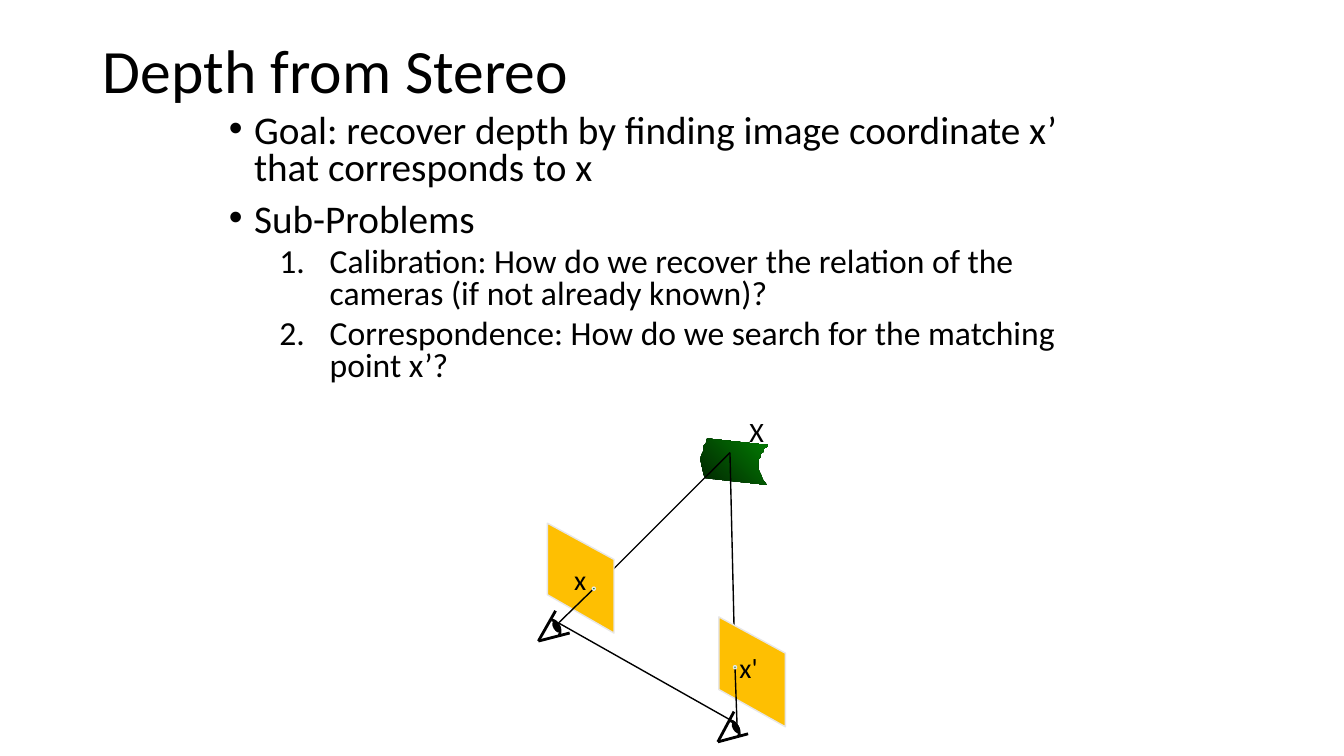
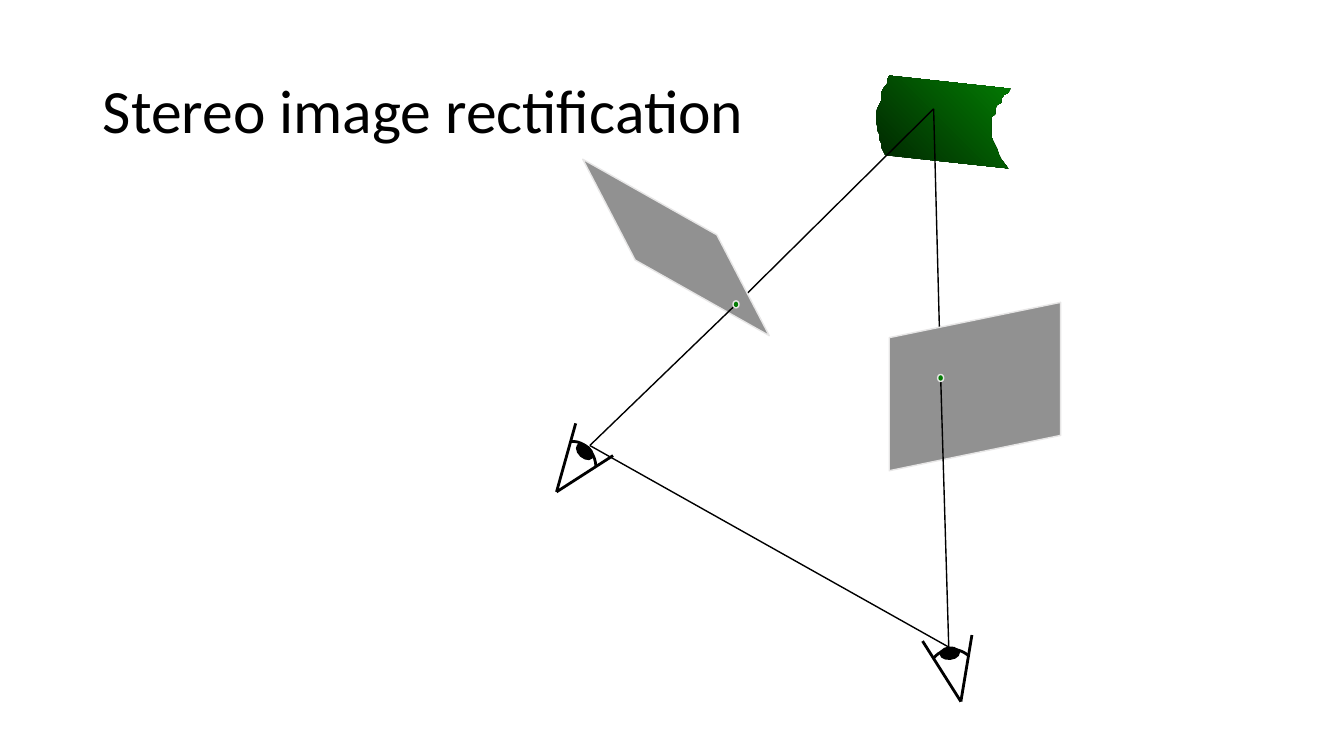
from lxml import etree
from pptx import Presentation
from pptx.dml.color import RGBColor
from pptx.enum.shapes import MSO_CONNECTOR, MSO_SHAPE
from pptx.enum.text import MSO_ANCHOR, MSO_AUTO_SIZE, PP_ALIGN
from pptx.oxml.ns import qn
from pptx.util import Inches, Pt

BLACK = RGBColor(0x00, 0x00, 0x00)
PALE_GREY = RGBColor(0xE7, 0xE6, 0xE6)
GREY = RGBColor(0x91, 0x91, 0x91)
AMBER = RGBColor(0xFE, 0xBF, 0x02)
GREEN = RGBColor(0x03, 0x7C, 0x03)
DARK_GREEN = RGBColor(0x01, 0x25, 0x01)
FONT = "Calibri"

# Curved surface patch, in inches from its own top left corner
SURFACE = [
    (0.13, 0), (0.11, 0.04), (0.11, 0.08), (0.07, 0.13), (0.05, 0.17), (0.05, 0.25),
    (0.03, 0.29), (0.01, 0.33), (0, 0.38), (0, 0.46), (0.01, 0.5), (0.01, 0.54),
    (0.03, 0.58), (0.03, 0.63), (0.05, 0.67), (0.05, 0.71), (0.07, 0.75), (0.09, 0.79),
    (1.31, 0.92), (1.24, 0.83), (1.22, 0.79), (1.2, 0.73), (1.18, 0.69), (1.16, 0.65),
    (1.14, 0.6), (1.14, 0.42), (1.18, 0.38), (1.18, 0.33), (1.2, 0.29), (1.24, 0.27),
    (1.24, 0.23), (1.27, 0.19), (1.31, 0.17), (1.33, 0.13),
]


def write(frame, paragraphs, size=20, align=PP_ALIGN.LEFT, anchor=MSO_ANCHOR.MIDDLE,
          spacing=None):
    """Fill a frame with (text, overrides) pairs; overrides: size, before, level, bullet, indents."""
    frame.word_wrap = True
    frame.auto_size = MSO_AUTO_SIZE.NONE
    frame.vertical_anchor = anchor
    for index, (text, style) in enumerate(paragraphs):
        paragraph = frame.add_paragraph() if index else frame.paragraphs[0]
        paragraph.text = text
        paragraph.level = style.get("level", 0)
        if "bullet" in style:
            properties = paragraph._p.get_or_add_pPr()
            left, hanging = style["indents"]
            properties.set("marL", str(Inches(left)))
            properties.set("indent", str(Inches(hanging)))
            etree.SubElement(properties, qn("a:buFont"), typeface=style["bullet_font"])
            tag, attribute, value = style["bullet"]
            etree.SubElement(properties, qn(tag)).set(attribute, value)
        paragraph.alignment = align
        paragraph.line_spacing = spacing
        paragraph.space_before = Pt(style.get("before", 0))
        paragraph.font.size = Pt(style.get("size", size))
        paragraph.font.name = FONT
        paragraph.font.color.rgb = BLACK


def trace(shapes, points, fill=None, line=BLACK, width=1, closed=True):
    """Draw a connector through two points, or an outline through more."""
    corners = [(Inches(x), Inches(y)) for x, y in points]
    if len(corners) == 2:
        drawn = shapes.add_connector(MSO_CONNECTOR.STRAIGHT, *corners[0], *corners[1])
        etree.SubElement(drawn._element.spPr, qn("a:effectLst"))
    else:
        builder = shapes.build_freeform(*corners[0])
        builder.add_line_segments(corners[1:], close=closed)
        drawn = builder.convert_to_shape()
        drawn.shadow.inherit = False
        if fill is None:
            drawn.fill.background()
        else:
            drawn.fill.solid()
            drawn.fill.fore_color.rgb = fill
    if line is None:
        drawn.line.fill.background()
    else:
        drawn.line.color.rgb = line
        drawn.line.width = Pt(width)
    return drawn


goal = dict(bullet=("a:buChar", "char", "•"), bullet_font="Arial", indents=(0.25, -0.25))
problem = dict(bullet=("a:buAutoNum", "type", "arabicPeriod"), bullet_font="+mj-lt",
               indents=(1, -0.5), level=1, size=24, before=5)
agenda = [
    ("Goal: recover depth by finding image coordinate x’ that corresponds to x", goal),
    ("Sub-Problems", goal | dict(before=10)),
    ("Calibration: How do we recover the relation of the cameras (if not already known)?",
     problem),
    ("Correspondence: How do we search for the matching point x’?", problem),
]

# Each view: camera centre, image point, image plane, then the eye:
# its apex, two lids, the Bezier points of the cornea, and the pupil
scenes = [
    dict(
        title="Depth from Stereo", title_top=0, layout=1, agenda=agenda,
        surface=(6.95, 4.35), scale=0.5, target=(7.24, 4.49), plane_fill=AMBER,
        dot=(0.03, 0.03), pupil=(0.05, 0.11),
        labels=[("X", 7.25, 4.06), ("x", 5.5, 5.53), ("x'", 7.17, 6.4)],
        views=[
            dict(centre=(5.54, 6.18), point=(5.89, 5.84),
                 plane=[(5.43, 5.9), (6.09, 6.28), (6.09, 5.55), (5.43, 5.19)],
                 apex=(5.34, 6.36), lids=[(5.51, 6.06), (5.65, 6.28)],
                 cornea=[(5.47, 6.15), (5.53, 6.16), (5.57, 6.23), (5.55, 6.3)],
                 pupil_at=(5.52, 6.22), turn=329),
            dict(centre=(7.31, 7.18), point=(7.29, 6.62),
                 plane=[(7.13, 6.84), (7.79, 7.21), (7.79, 6.48), (7.13, 6.12)],
                 apex=(7.12, 7.36), lids=[(7.28, 7.06), (7.42, 7.28)],
                 cornea=[(7.24, 7.15), (7.3, 7.16), (7.34, 7.23), (7.33, 7.3)],
                 pupil_at=(7.3, 7.22), turn=329),
        ],
    ),
    dict(
        title="Stereo image rectification", title_top=0.4, layout=5, agenda=[],
        surface=(8.69, 0.75), scale=1, target=(9.26, 1.08), plane_fill=GREY,
        dot=(0.06, 0.07), pupil=(0.12, 0.19), labels=[],
        views=[
            dict(centre=(5.85, 4.42), point=(7.3, 3.02),
                 plane=[(6.3, 2.58), (7.63, 3.33), (7.11, 2.33), (5.78, 1.58)],
                 apex=(5.52, 4.88), lids=[(5.71, 4.2), (6.08, 4.52)],
                 cornea=[(5.66, 4.38), (5.79, 4.37), (5.9, 4.48), (5.91, 4.62)],
                 pupil_at=(5.8, 4.48), turn=312.5),
            dict(centre=(9.41, 6.42), point=(9.33, 3.75),
                 plane=[(8.82, 3.35), (8.82, 4.67), (10.52, 4.32), (10.52, 3)],
                 apex=(9.53, 6.96), lids=[(9.15, 6.36), (9.64, 6.3)],
                 cornea=[(9.26, 6.53), (9.34, 6.43), (9.49, 6.41), (9.6, 6.5)],
                 pupil_at=(9.42, 6.48), turn=264.6),
        ],
    ),
]

deck = Presentation()
deck.slide_width, deck.slide_height = Inches(13.33), Inches(7.5)

for scene in scenes:
    slide = deck.slides.add_slide(deck.slide_layouts[scene["layout"]])
    shapes = slide.shapes

    title = shapes.title
    title.left, title.top = Inches(0.92), Inches(scene["title_top"])
    title.width, title.height = Inches(11.5), Inches(1.45)
    write(title.text_frame, [(scene["title"], {})], size=44, spacing=0.9)

    if scene["agenda"]:
        body = slide.placeholders[1]
        body.left, body.top, body.width, body.height = map(Inches, (2.17, 1.08, 9, 2.92))
        write(body.text_frame, scene["agenda"], size=28, anchor=MSO_ANCHOR.TOP, spacing=0.8)

    left, top = scene["surface"]
    scale = scene["scale"]
    surface = trace(shapes, [(left + x * scale, top + y * scale) for x, y in SURFACE], line=None)
    surface.fill.gradient()
    surface.fill.gradient_angle = 45
    for stop, position, colour in zip(surface.fill.gradient_stops, (0, 1), (DARK_GREEN, GREEN)):
        stop.position = position
        stop.color.rgb = colour

    trace(shapes, [view["centre"] for view in scene["views"]])  # baseline

    for view in scene["views"]:
        trace(shapes, [view["point"], scene["target"]])
        trace(shapes, view["plane"], fill=scene["plane_fill"], line=PALE_GREY)
        trace(shapes, [view["centre"], view["point"]])

        for lid in view["lids"]:
            trace(shapes, [view["apex"], lid], width=2)
        cornea = []
        for step in range(13):
            t = step / 12
            weights = ((1 - t) ** 3, 3 * t * (1 - t) ** 2, 3 * t ** 2 * (1 - t), t ** 3)
            cornea.append(tuple(sum(w * p[axis] for w, p in zip(weights, view["cornea"]))
                                for axis in (0, 1)))
        trace(shapes, cornea, width=2, closed=False)

        for (x, y), (width, height), turn, fill, line in [
            (view["pupil_at"], scene["pupil"], view["turn"], BLACK, BLACK),
            (view["point"], scene["dot"], 0, GREEN, PALE_GREY),
        ]:
            oval = shapes.add_shape(MSO_SHAPE.OVAL, Inches(x - width / 2), Inches(y - height / 2),
                                    Inches(width), Inches(height))
            oval.shadow.inherit = False
            oval.rotation = turn
            oval.fill.solid()
            oval.fill.fore_color.rgb = fill
            oval.line.color.rgb = line
            oval.line.width = Pt(1)

    for text, x, y in scene["labels"]:
        label = shapes.add_textbox(Inches(x), Inches(y), Inches(0.51), Inches(0.44))
        write(label.text_frame, [(text, {})], align=PP_ALIGN.CENTER)

deck.save("out.pptx")
